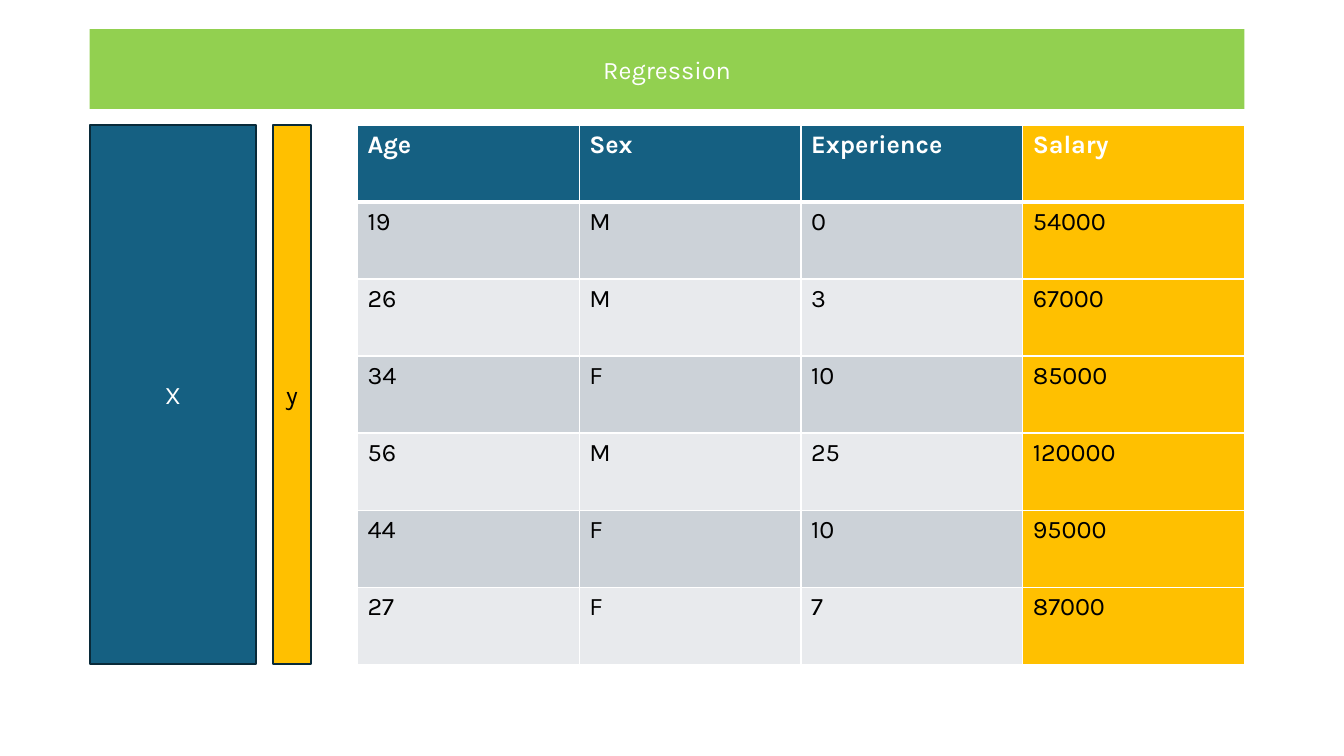
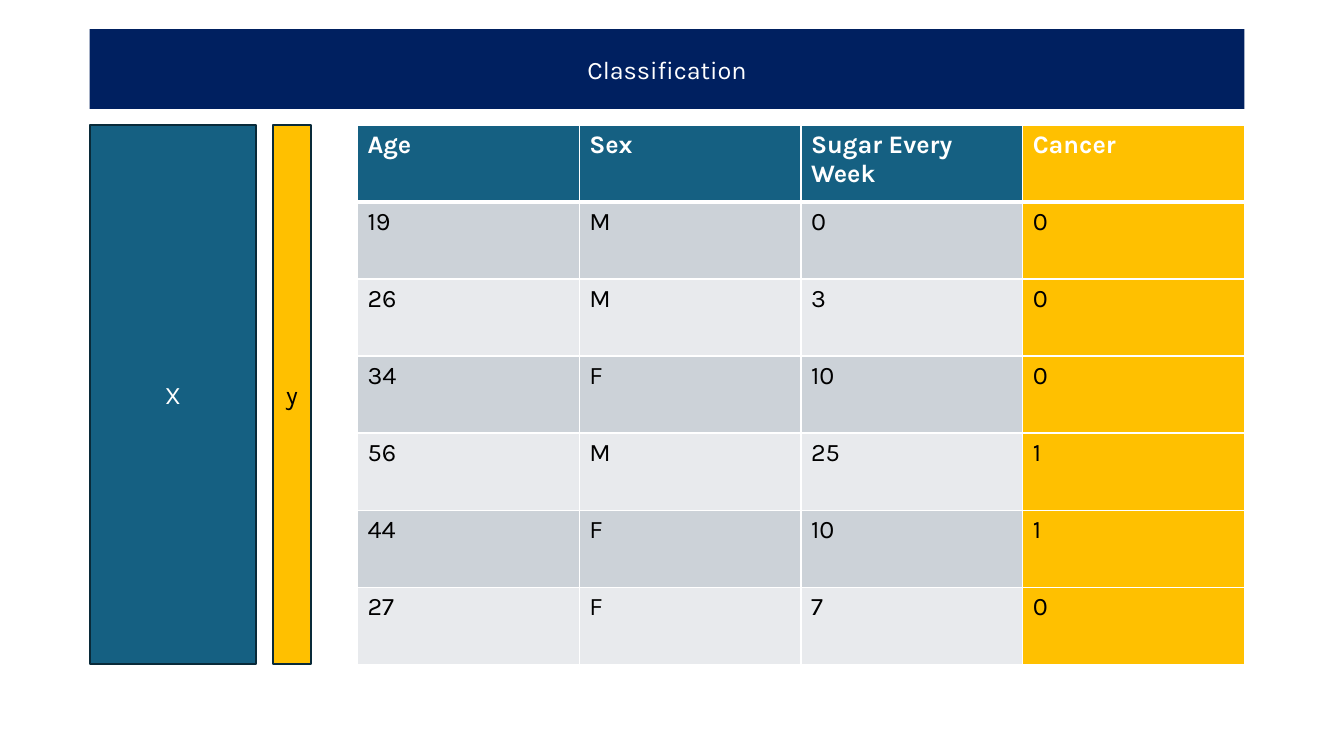
import pptx
import pptx.dml.color
import pptx.enum.shapes
import pptx.enum.text
import pptx.oxml
import pptx.oxml.ns
import pptx.util

COLORS = {
    "white": "FFFFFF",
    "black": "000000",
    "features": "156082",
    "target": "FFC000",
    "outline": "092A39",
    "odd_row": "CCD2D8",
    "even_row": "E8EAED",
    "regression": "92D050",
    "classification": "002060",
}

# Shares of the slide's size, in percent
LEFT, RIGHT = 6.67, 92.6
BAND_TOP, BAND_HEIGHT = 3.87, 10.53
BODY_TOP, BODY_HEIGHT = 16.53, 71.33
FEATURES_WIDTH = 12.4
TARGET_LEFT, TARGET_WIDTH = 20.33, 2.8
TABLE_LEFT = 26.6

PEOPLE = [("19", "M"), ("26", "M"), ("34", "F"), ("56", "M"), ("44", "F"), ("27", "F")]
AMOUNTS = ["0", "3", "10", "25", "10", "7"]

TASKS = [
    ("Regression", "regression", "Experience", "Salary",
     ["54000", "67000", "85000", "120000", "95000", "87000"]),
    ("Classification", "classification", "Sugar Every Week", "Cancer",
     ["0", "0", "0", "1", "1", "0"]),
]


def rgb(name):
    return pptx.dml.color.RGBColor.from_string(COLORS[name])


class Deck:
    font = "Karla"
    size = 18

    def __init__(self):
        self.prs = pptx.Presentation()
        self.prs.slide_width = pptx.util.Inches(13.33)
        self.prs.slide_height = pptx.util.Inches(7.5)
        self.slide = None

    def add_slide(self):
        self.slide = self.prs.slides.add_slide(self.prs.slide_layouts[6])

    def area(self, left, top, width, height):
        """Turn percentages of the slide's size into lengths."""
        w, h = self.prs.slide_width, self.prs.slide_height
        return [round(share * full / 100)
                for share, full in ((left, w), (top, h), (width, w), (height, h))]

    def set_text(self, tf, text, color, bold=False):
        tf.text = text
        f = tf.paragraphs[0].runs[0].font
        f.name, f.size, f.bold = self.font, pptx.util.Pt(self.size), bold
        f.color.rgb = rgb(color)

    def box(self, area, text, fill, color="white", outline=None):
        sp = self.slide.shapes.add_shape(
            pptx.enum.shapes.MSO_SHAPE.RECTANGLE, *self.area(*area))
        sp.shadow.inherit = False
        sp.fill.solid()
        sp.fill.fore_color.rgb = rgb(fill)
        if outline:
            sp.line.color.rgb = rgb(outline)
            sp.line.width = pptx.util.Pt(1.5)
        else:
            sp.line.fill.background()
        tf = sp.text_frame
        tf.vertical_anchor = pptx.enum.text.MSO_ANCHOR.MIDDLE
        self.set_text(tf, text, color)
        tf.paragraphs[0].alignment = pptx.enum.text.PP_ALIGN.CENTER

    def borders(self, cell, top, bottom):
        """Draw white cell borders; top and bottom are widths in points."""
        tcPr = cell._tc.get_or_add_tcPr()
        for side, width in (("L", 1), ("R", 1), ("T", top), ("B", bottom)):
            tcPr.append(pptx.oxml.parse_xml(
                f'<a:ln{side} {pptx.oxml.ns.nsdecls("a")} w="{pptx.util.Pt(width)}">'
                f'<a:solidFill><a:srgbClr val="{COLORS["white"]}"/></a:solidFill>'
                f'</a:ln{side}>'))

    def table(self, area, rows):
        """Add a table with a header row and a highlighted last column."""
        left, top, width, height = self.area(*area)
        n_rows, n_cols = len(rows), len(rows[0])
        table = self.slide.shapes.add_table(
            n_rows, n_cols, left, top, width, height).table
        for i, row in enumerate(rows):
            header = i == 0
            row_fill = "features" if header else "odd_row" if i % 2 else "even_row"
            for j, text in enumerate(row):
                cell = table.cell(i, j)
                self.borders(cell, 3 if i == 1 else 1, 3 if header else 1)
                cell.fill.solid()
                cell.fill.fore_color.rgb = rgb("target" if j == n_cols - 1 else row_fill)
                self.set_text(cell.text_frame, text, "white" if header else "black", header)


def main():
    deck = Deck()
    for title, band, amount, target, labels in TASKS:
        deck.add_slide()
        deck.box((LEFT, BODY_TOP, FEATURES_WIDTH, BODY_HEIGHT), "X",
                 "features", outline="outline")
        deck.box((TARGET_LEFT, BODY_TOP, TARGET_WIDTH, BODY_HEIGHT), "y",
                 "target", "black", "outline")
        rows = [("Age", "Sex", amount, target)]
        rows += [(*person, value, label)
                 for person, value, label in zip(PEOPLE, AMOUNTS, labels)]
        deck.table((TABLE_LEFT, BODY_TOP, RIGHT - TABLE_LEFT, BODY_HEIGHT), rows)
        deck.box((LEFT, BAND_TOP, RIGHT - LEFT, BAND_HEIGHT), title, band)
    deck.prs.save("out.pptx")


if __name__ == "__main__":
    main()
